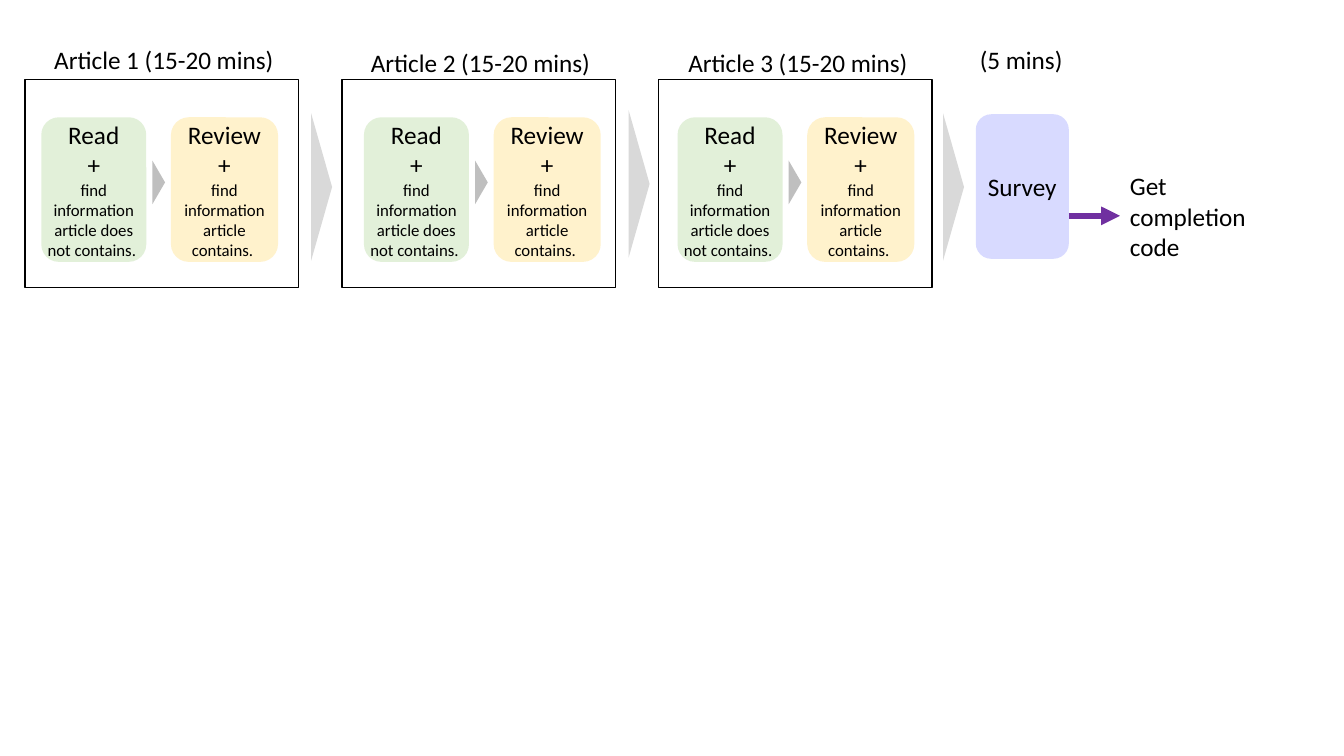
import pptx
import pptx.util
import pptx.dml.color
import pptx.enum.shapes
import pptx.enum.text
import pptx.oxml
import pptx.oxml.ns
from dataclasses import dataclass

Pt = pptx.util.Pt
RGB = pptx.dml.color.RGBColor.from_string
Shapes = pptx.enum.shapes.MSO_SHAPE
Align = pptx.enum.text.PP_ALIGN
Anchor = pptx.enum.text.MSO_ANCHOR
AutoSize = pptx.enum.text.MSO_AUTO_SIZE


@dataclass(frozen=True)
class Theme:
    """Colours, font and type sizes of the slide."""
    font: str = "Calibri"
    title: int = 18
    detail: int = 12
    ink: str = "000000"
    frame: str = "FFFFFF"
    read: str = "E2F0D9"
    review: str = "FFF2CC"
    survey: str = "D8DAFF"
    stage_arrow: str = "D9D9D9"
    task_arrow: str = "BFBFBF"
    exit_arrow: str = "7030A0"


theme = Theme()
deck = pptx.Presentation()
deck.slide_width, deck.slide_height = Pt(960), Pt(540)
page = deck.slides.add_slide(deck.slide_layouts[6])


def add_block(kind, left, top, width, height, fill, lines=(), turn=0):
    """Add a filled shape with centred lines of (text, size)."""
    block = page.shapes.add_shape(kind, Pt(left), Pt(top), Pt(width), Pt(height))
    block.shadow.inherit = False
    block.fill.solid()
    block.fill.fore_color.rgb = RGB(fill)
    block.line.fill.background()
    block.rotation = turn
    frame = block.text_frame
    frame.word_wrap = True
    frame.vertical_anchor = Anchor.MIDDLE
    frame.margin_left = frame.margin_right = 0
    write(frame, lines, Align.CENTER)
    return block


def write(frame, lines, align):
    """Fill a text frame with one paragraph for each (text, size)."""
    for index, (text, size) in enumerate(lines):
        para = frame.add_paragraph() if index else frame.paragraphs[0]
        para.alignment = align
        span = para.add_run()
        span.text = text
        span.font.name = theme.font
        span.font.size = Pt(size)
        span.font.color.rgb = RGB(theme.ink)


read_lines = [("Read", theme.title), ("+", theme.title),
              ("find information article does not contains. ", theme.detail)]
review_lines = [("Review", theme.title), ("+", theme.title),
                ("find information article", theme.detail),
                ("contains. ", theme.detail)]

# Article stages: frame left, first card left, stage arrow centre x and y
stages = [(18, 29.5, 229.7, 133.6),
          (244.3, 260, 456.5, 131.4),
          (470.6, 484, 681.1, 133.6)]
card_top, card_height = 83.8, 103.3
stage_length, stage_depth = 105.4, 15
task_length, task_depth = 31, 9

for frame_left, card_left, arrow_x, arrow_y in stages:
    outline = add_block(Shapes.RECTANGLE, frame_left, 56.8, 195.3, 148.5, theme.frame)
    outline.line.color.rgb = RGB(theme.ink)
    outline.line.width = Pt(1)
    add_block(Shapes.ISOSCELES_TRIANGLE, arrow_x - stage_length / 2,
              arrow_y - stage_depth / 2, stage_length, stage_depth,
              theme.stage_arrow, turn=90)
    add_block(Shapes.ROUNDED_RECTANGLE, card_left, card_top, 75, card_height,
              theme.read, read_lines)
    add_block(Shapes.ROUNDED_RECTANGLE, card_left + 92.6, card_top, 76.5, card_height,
              theme.review, review_lines)
    add_block(Shapes.ISOSCELES_TRIANGLE, card_left + 83.9 - task_length / 2,
              130.3 - task_depth / 2, task_length, task_depth,
              theme.task_arrow, turn=90)

# Survey and exit
add_block(Shapes.ROUNDED_RECTANGLE, 697, 81.6, 66.5, card_height,
          theme.survey, [("Survey", theme.title)])

exit_arrow = page.shapes.add_connector(
    pptx.enum.shapes.MSO_CONNECTOR.STRAIGHT, Pt(763.5), Pt(154.2), Pt(800), Pt(154.2))
exit_arrow.line.color.rgb = RGB(theme.exit_arrow)
exit_arrow.line.width = Pt(4.5)
head = pptx.oxml.parse_xml(
    f'<a:tailEnd {pptx.oxml.ns.nsdecls("a")} type="triangle"/>')
exit_arrow.line._get_or_add_ln().append(head)
exit_arrow._element.spPr.append(
    pptx.oxml.parse_xml(f'<a:effectLst {pptx.oxml.ns.nsdecls("a")}/>'))

# Captions: text, left, top, width, height, wraps
captions = [("Article 1 (15-20 mins)", 31.7, 28.2, 172.8, 29, False),
            ("Article 2 (15-20 mins)", 257.8, 30, 172.8, 29, False),
            ("Article 3 (15-20 mins)", 484.6, 30, 172.8, 29, False),
            ("(5 mins)", 692.8, 28.2, 74, 29, False),
            ("Get completion code", 800, 118.3, 111.5, 72.7, True)]
for text, left, top, width, height, wraps in captions:
    box = page.shapes.add_textbox(Pt(left), Pt(top), Pt(width), Pt(height))
    box.text_frame.word_wrap = wraps
    box.text_frame.auto_size = AutoSize.SHAPE_TO_FIT_TEXT
    write(box.text_frame, [(text, theme.title)], Align.LEFT)

deck.save("out.pptx")
